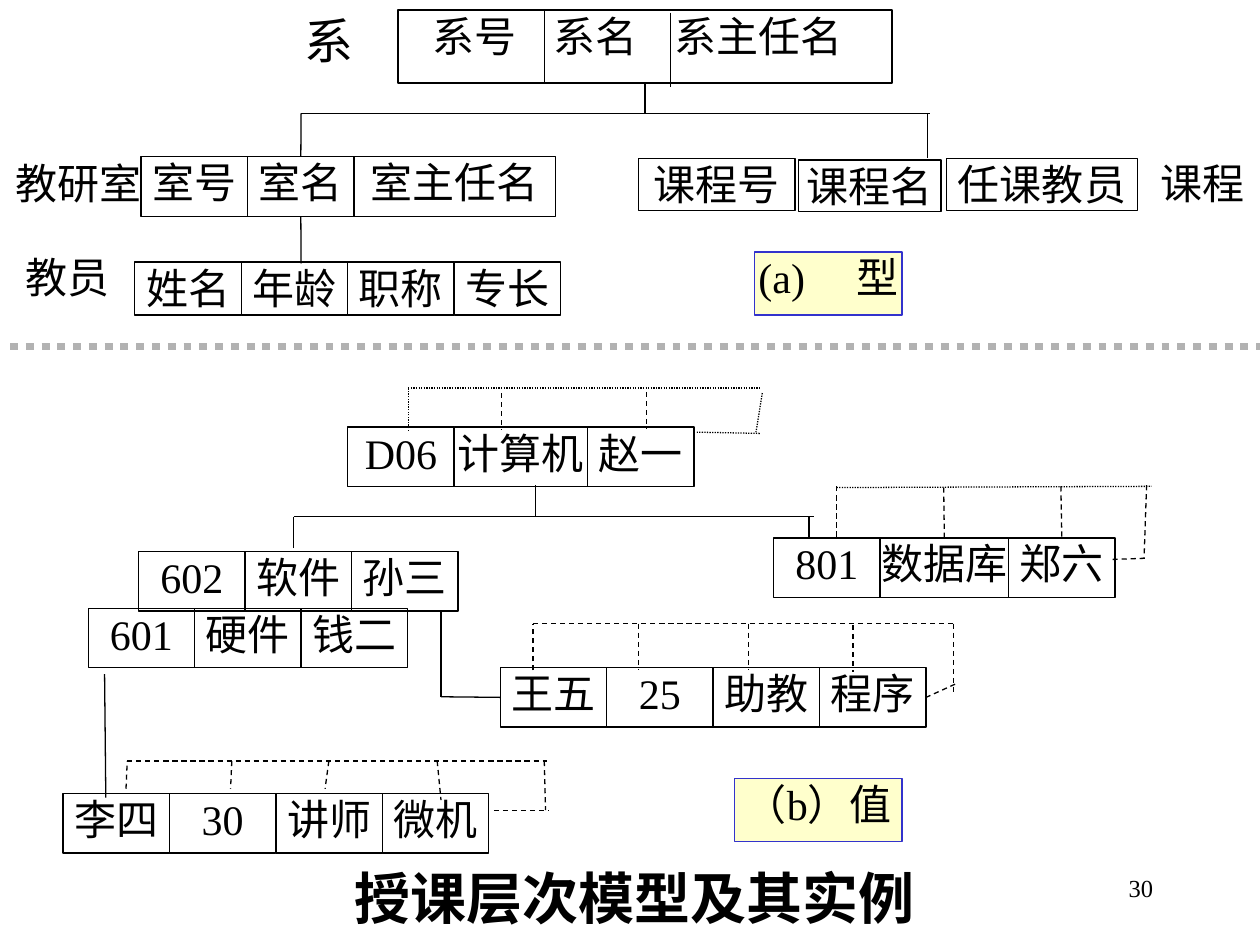
from dataclasses import dataclass
from itertools import pairwise

from lxml import etree
from pptx import Presentation
from pptx import util as u
from pptx.dml.color import RGBColor
from pptx.enum import dml, shapes, text
from pptx.oxml.ns import qn


@dataclass(frozen=True)
class Theme:
    font: str = "Times New Roman"
    ink: str = "000000"
    divider: str = "B2B2B2"
    tag_fill: str = "FFFFCC"
    tag_line: str = "3333CC"
    title: int = 32
    heading: int = 28
    body: int = 24
    number: int = 14
    thin: float = 0.75
    thick: float = 4.5


THEME = Theme()
WIDTH, HEIGHT = 10, 7.5
CELL = 0.845  # width of one standard field
ALIGN = text.PP_ALIGN
SOLID, DASH, DOT = None, dml.MSO_LINE.DASH, dml.MSO_LINE.ROUND_DOT

TITLE = ("授课层次模型及其实例", 2.25, 6.85, 5.57, 0.57)
PAGE_NUMBER = ("30", 7.17, 6.83, 2.08, 0.5)

# text, left, top, width, height, size
LABELS = [
    ("系", 2.32, 0.08, 0.58, 0.58, THEME.heading),
    ("教研室", 0, 1.25, 1.25, 0.5, THEME.body),
    ("课程", 9.17, 1.25, 0.74, 0.34, THEME.body),
    ("教员", 0.16, 2, 0.75, 0.5, THEME.body),
]

# left, top, height, fields as (text, width)
RECORDS = [
    (1.12, 1.24, 0.48, [("室号", CELL), ("室名", CELL), ("室主任名", 1.6)]),
    (5.07, 1.26, 0.41, [("课程号", 1.24)]),
    (6.34, 1.27, 0.41, [("课程名", 1.13)]),
    (7.51, 1.26, 0.41, [("任课教员", 1.52)]),
    (1.07, 2.08, 0.42, [(name, CELL) for name in ("姓名", "年龄", "职称", "专长")]),
    (2.76, 3.39, 0.47, [("D06", CELL), ("计算机", 1.06), ("赵一", CELL)]),
    (1.1, 4.38, 0.47, [(name, CELL) for name in ("602", "软件", "孙三")]),
    (0.7, 4.83, 0.47, [(name, CELL) for name in ("601", "硬件", "钱二")]),
    (6.14, 4.27, 0.47, [("801", CELL), ("数据库", 1.02), ("郑六", CELL)]),
    (3.97, 5.3, 0.47, [(name, CELL) for name in ("王五", "25", "助教", "程序")]),
    (0.5, 6.3, 0.47, [(name, CELL) for name in ("李四", "30", "讲师", "微机")]),
]

# text, left, top, width, height, tab stops
DEPARTMENT = ("\t系号\t系名\t系主任名", 3.16, 0.08, 3.92, 0.58, (0.27, 1.23, 2.19))
TYPE_TAG = ("\t(a)\t型", 5.99, 2, 1.17, 0.5, (0.03, 0.81))
VALUE_TAG = ("（b）值", 5.83, 6.18, 1.33, 0.5, ())

# dash style, then paths of (x, y) points
PATHS = [
    (SOLID, [
        [(4.32, 0.08), (4.32, 0.67)],
        [(5.32, 0.1), (5.32, 0.69)],
        [(5.12, 0.66), (5.12, 0.9)],
        [(2.39, 1.24), (2.39, 0.9), (7.38, 0.9)],
        [(7.36, 0.9), (7.36, 1.25)],
        [(2.39, 1.72), (2.39, 2.09)],
        [(4.25, 3.85), (4.25, 4.1)],
        [(2.33, 4.35), (2.33, 4.1), (6.46, 4.1)],
        [(6.42, 4.1), (6.42, 4.26)],
        [(3.5, 4.85), (3.5, 5.53), (3.97, 5.53)],
        [(0.83, 5.35), (0.84, 6.33)],
    ]),
    (DOT, [
        [(3.24, 3.42), (3.24, 3.08), (6.03, 3.08)],
        [(6.05, 3.12), (6, 3.43)],
        [(6.03, 3.44), (5.53, 3.43)],
        [(6.64, 3.87), (9.14, 3.86)],
    ]),
    (DASH, [
        [(3.98, 3.12), (3.98, 3.41)],
        [(5.13, 3.11), (5.13, 3.4)],
        [(6.64, 3.86), (6.64, 4.26)],
        [(7.49, 3.87), (7.49, 4.27)],
        [(8.42, 3.86), (8.42, 4.27)],
        [(9.1, 3.85), (9.08, 4.43)],
        [(8.83, 4.44), (9.11, 4.43)],
        [(4.23, 5.32), (4.23, 4.95), (7.59, 4.95)],
        [(5.07, 4.95), (5.07, 5.32)],
        [(5.94, 4.95), (5.94, 5.32)],
        [(6.77, 4.96), (6.77, 5.33)],
        [(7.57, 4.95), (7.57, 5.51)],
        [(7.58, 5.43), (7.36, 5.53)],
        [(1, 6.26), (1.01, 6.04), (4.34, 6.04)],
        [(1.84, 6.04), (1.83, 6.26)],
        [(2.61, 6.04), (2.58, 6.26)],
        [(3.47, 6.04), (3.5, 6.35)],
        [(4.32, 6.04), (4.33, 6.43)],
        [(3.92, 6.43), (4.36, 6.43)],
    ]),
]


def color(value):
    return RGBColor.from_string(value)


def write(box, words, size, align=ALIGN.CENTER, inset=0, tabs=(), bold=False):
    frame = box.text_frame
    settings = dict.fromkeys(
        ("margin_left", "margin_right", "margin_top", "margin_bottom"), u.Inches(inset))
    settings |= {"word_wrap": True, "vertical_anchor": text.MSO_ANCHOR.TOP,
                 "auto_size": text.MSO_AUTO_SIZE.NONE}
    for name, value in settings.items():
        setattr(frame, name, value)
    para = frame.paragraphs[0]
    para.alignment = align
    if tabs:
        stops = etree.SubElement(para._p.get_or_add_pPr(), qn("a:tabLst"))
        for stop in tabs:
            etree.SubElement(stops, qn("a:tab"), pos=str(u.Inches(stop)), algn="l")
    span = para.add_run()
    span.text = words
    for name, value in {"name": THEME.font, "size": u.Pt(size), "bold": bold}.items():
        setattr(span.font, name, value)
    span.font.color.rgb = color(THEME.ink)


def add_label(page, words, left, top, width, height, size, **format_values):
    box = page.shapes.add_textbox(*map(u.Inches, (left, top, width, height)))
    write(box, words, size, **format_values)


def add_field(page, words, left, top, width, height, tabs=(), fill=None, line=THEME.ink):
    box = page.shapes.add_shape(
        shapes.MSO_SHAPE.RECTANGLE, *map(u.Inches, (left, top, width, height)))
    box.shadow.inherit = False
    if fill:
        box.fill.solid()
        box.fill.fore_color.rgb = color(fill)
    else:
        box.fill.background()
    box.line.color.rgb = color(line)
    box.line.width = u.Pt(THEME.thin)
    write(box, words, THEME.body, ALIGN.LEFT if tabs else ALIGN.CENTER, tabs=tabs)
    return box


def find_side(boxes, point, reach=u.Inches(0.02)):
    """Return the box and side index whose middle lies at the point, if any."""
    x, y = map(u.Inches, point)
    for box in boxes:
        right, bottom = box.left + box.width, box.top + box.height
        middle, center = box.left + box.width // 2, box.top + box.height // 2
        sides = [(middle, box.top), (box.left, center), (middle, bottom), (right, center)]
        for index, (side_x, side_y) in enumerate(sides):
            if abs(side_x - x) <= reach and abs(side_y - y) <= reach:
                return box, index
    return None


def add_line(page, start, end, dash, boxes=(), ink=THEME.ink, weight=THEME.thin):
    line = page.shapes.add_connector(
        shapes.MSO_CONNECTOR.STRAIGHT, *map(u.Inches, (*start, *end)))
    line.line.color.rgb = color(ink)
    line.line.width = u.Pt(weight)
    if dash:
        line.line.dash_style = dash
    etree.SubElement(line._element.spPr, qn("a:effectLst"))
    for join, point in ((line.begin_connect, start), (line.end_connect, end)):
        if side := find_side(boxes, point):
            join(*side)


def main():
    deck = Presentation()
    deck.slide_width, deck.slide_height = u.Inches(WIDTH), u.Inches(HEIGHT)
    page = deck.slides.add_slide(deck.slide_layouts[5])

    words, *place = TITLE
    title = page.shapes.title
    for name, value in zip(("left", "top", "width", "height"), place):
        setattr(title, name, u.Inches(value))
    write(title, words, THEME.title, bold=True)

    add_label(page, *PAGE_NUMBER, THEME.number, align=ALIGN.RIGHT, inset=0.1)
    for label in LABELS:
        add_label(page, *label)

    boxes = [add_field(page, *DEPARTMENT)]
    for left, top, height, fields in RECORDS:
        for words, width in fields:
            boxes.append(add_field(page, words, left, top, width, height))
            left += width
    for tag in (TYPE_TAG, VALUE_TAG):
        add_field(page, *tag, fill=THEME.tag_fill, line=THEME.tag_line)

    add_line(page, (0.08, 2.75), (WIDTH, 2.75), DOT, ink=THEME.divider, weight=THEME.thick)
    for dash, paths in PATHS:
        for path in paths:
            for start, end in pairwise(path):
                add_line(page, start, end, dash, boxes)

    deck.save("out.pptx")


if __name__ == "__main__":
    main()
